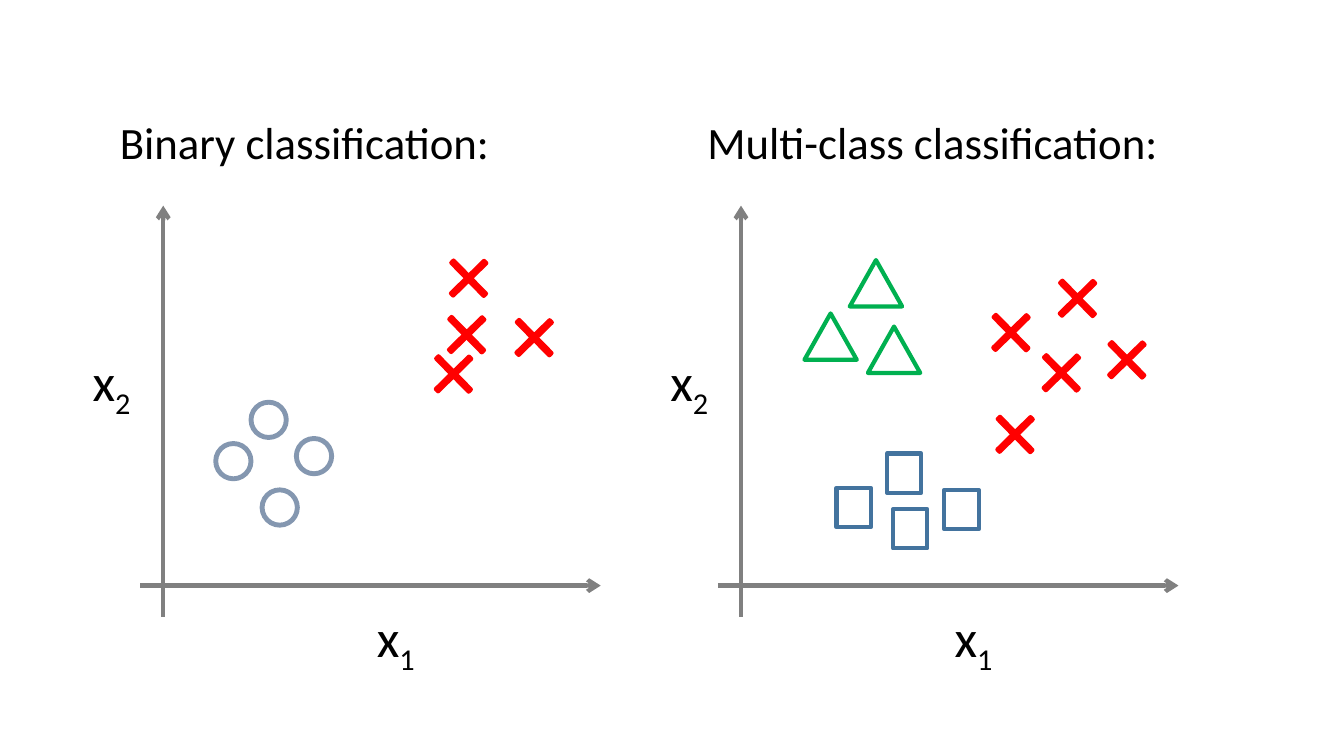
from lxml import etree
from pptx import Presentation
from pptx.dml.color import RGBColor
from pptx.enum.shapes import MSO_CONNECTOR, MSO_SHAPE
from pptx.enum.text import MSO_AUTO_SIZE
from pptx.oxml.ns import qn
from pptx.util import Pt

CIRCLE, SQUARE = MSO_SHAPE.OVAL, MSO_SHAPE.RECTANGLE
TRIANGLE, CROSS = MSO_SHAPE.ISOSCELES_TRIANGLE, MSO_SHAPE.CROSS
STRAIGHT = MSO_CONNECTOR.STRAIGHT
FIT_SHAPE = MSO_AUTO_SIZE.SHAPE_TO_FIT_TEXT

COLORS = {
    "text": "000000",
    "axis": "808080",
    "circle": "8497B0",
    "cross": "FF0000",
    "square": "43739E",
    "triangle": "00B050",
}

# Each class of points: preset shape, width, height, line width
MARKERS = {
    "circle": (CIRCLE, 25.2, 25.2, 3.5),
    "cross": (CROSS, 33.1, 33.1, 3),
    "square": (SQUARE, 24.5, 28.1, 3),
    "triangle": (TRIANGLE, 37.4, 33.1, 3),
}

PLOT_SHIFT = 412.7
PLOTS = [
    {
        "title": "Binary classification:",
        "title_left": 78.5,
        "shift": 0,
        "points": {
            "circle": [(154.1, 316.8), (211.7, 313.2), (187.2, 349.9), (179.3, 287.3)],
            "cross": [(307.4, 250.6), (318.2, 182.2), (365, 224.6), (316.8, 222.5)],
        },
    },
    {
        "title": "Multi-class classification:",
        "title_left": 498.2,
        "shift": PLOT_SHIFT,
        "points": {
            "cross": [(708.5, 293.8), (705.6, 221), (741.6, 249.8),
                      (753.1, 196.6), (788.4, 240.5)],
            "square": [(633.6, 324), (637.9, 363.6), (674.6, 349.9), (597.6, 348.5)],
            "triangle": [(607, 185.8), (574.6, 223.9), (619.9, 233.3)],
        },
    },
]


class Sketch:
    font = "Calibri"
    title_size = 32
    label_size = 37.3
    axis_width = 3

    def __init__(self, page):
        self.page = page

    def color(self, name):
        return RGBColor.from_string(COLORS[name])

    def text(self, left, top, width, height, content, size, wrap):
        box = self.page.shapes.add_textbox(Pt(left), Pt(top), Pt(width), Pt(height))
        frame = box.text_frame
        frame.word_wrap = wrap
        frame.auto_size = FIT_SHAPE
        para = frame.paragraphs[0]
        para.text = content
        self.style(para.runs[0], size)
        return para

    def style(self, span, size):
        span.font.name = self.font
        span.font.size = Pt(size)
        span.font.color.rgb = self.color("text")

    def title(self, left, content):
        self.text(left, 78.5, 342, 46.1, content, self.title_size, True)

    def axis_label(self, left, top, index):
        """Write x with the index as its subscript."""
        para = self.text(left, top, 43.9, 52.6, "x", self.label_size, False)
        span = para.add_run()
        span.text = index
        self.style(span, self.label_size)
        span.font._element.set("baseline", "-25000")

    def arrow(self, start, end):
        line = self.page.shapes.add_connector(STRAIGHT, *map(Pt, start + end))
        line.line.color.rgb = self.color("axis")
        line.line.width = Pt(self.axis_width)
        outline = line.line._get_or_add_ln()
        etree.SubElement(outline, qn("a:tailEnd"), type="arrow")
        etree.SubElement(line._element.spPr, qn("a:effectLst"))

    def marker(self, kind, left, top):
        preset, width, height, line_width = MARKERS[kind]
        shape = self.page.shapes.add_shape(
            preset, Pt(left), Pt(top), Pt(width), Pt(height))
        shape.shadow.inherit = False
        shape.line.color.rgb = self.color(kind)
        shape.line.width = Pt(line_width)
        if kind == "cross":
            shape.adjustments[0] = 0.466
            shape.rotation = 45.6
            shape.fill.solid()
            shape.fill.fore_color.rgb = self.color("text")
        else:
            shape.fill.background()

    def plot(self, title, title_left, shift, points):
        for kind, places in points.items():
            for left, top in places:
                self.marker(kind, left, top)
        self.axis_label(262.1 + shift, 429.1, "1")
        self.axis_label(59 + shift, 246.2, "2")
        self.arrow((116.6 + shift, 440.6), (116.6 + shift, 146.9))
        self.arrow((100.1 + shift, 418.3), (429.1 + shift, 418.3))
        self.title(title_left, title)


def main():
    deck = Presentation()
    deck.slide_width, deck.slide_height = Pt(960), Pt(540)
    sketch = Sketch(deck.slides.add_slide(deck.slide_layouts[6]))
    for plot in PLOTS:
        sketch.plot(**plot)
    deck.save("out.pptx")


if __name__ == "__main__":
    main()
